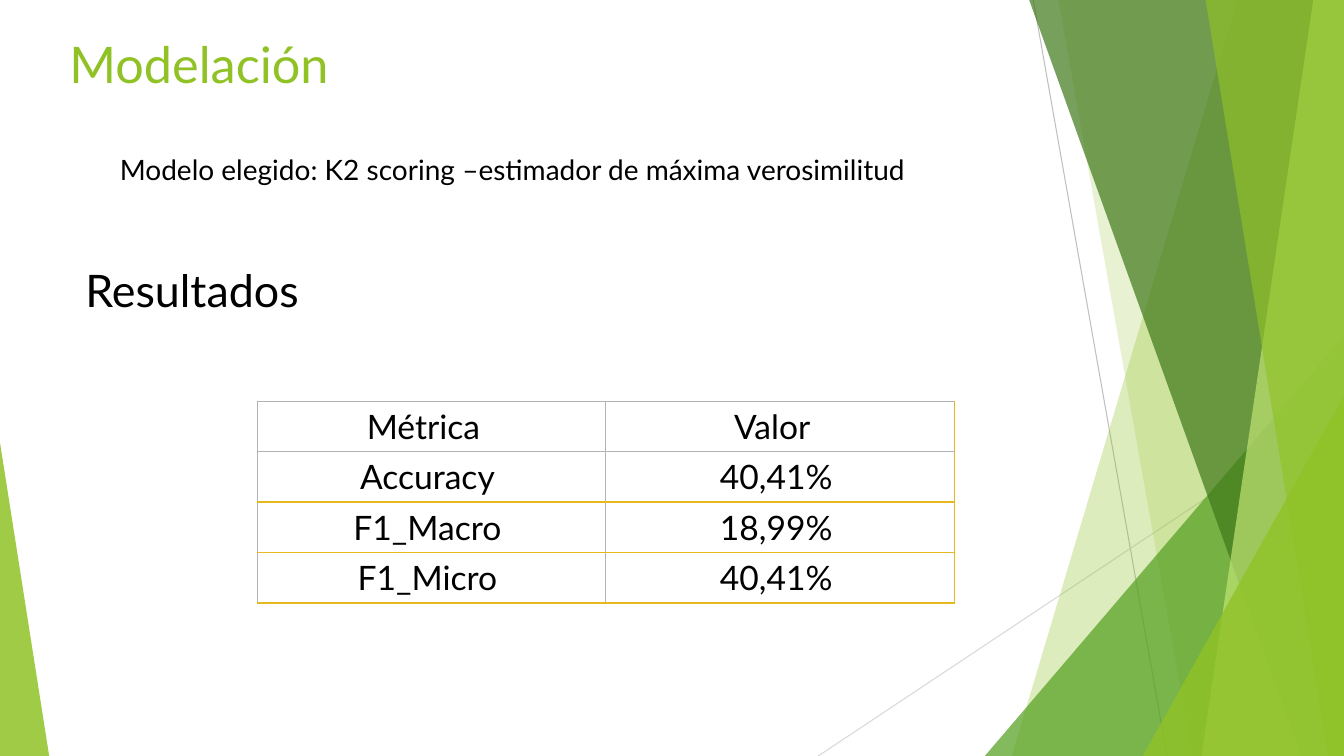
from dataclasses import dataclass
from lxml.etree import SubElement
from pptx import Presentation
from pptx.dml.color import RGBColor
from pptx.enum.shapes import MSO_CONNECTOR, MSO_SHAPE
from pptx.enum.text import MSO_ANCHOR, PP_ALIGN
from pptx.oxml.ns import qn
from pptx.util import Cm, Pt

WIDE, HIGH = 33.87, 19.05


@dataclass(frozen=True)
class Theme:
    font: str = "Lato"
    ink: str = "000000"
    lime: str = "90C226"
    green: str = "54A021"
    dark: str = "3F7819"
    pale: str = "C0E474"
    gold: str = "E6B91E"
    grey: str = "B3B3B3"
    ray: str = "BFBFBF"
    mist: str = "D9D9D9"
    title: int = 36
    head: int = 32
    cell: int = 24
    body: int = 20


class Deck:
    def __init__(self, theme, slide):
        self.theme = theme
        self.shapes = slide.shapes

    def paint(self, shape, color, alpha):
        """Fill a shape with a see-through colour, without outline."""
        shape.shadow.inherit = False
        shape.line.fill.background()
        shape.fill.solid()
        shape.fill.fore_color.rgb = RGBColor.from_string(color)
        fill = shape._element.spPr.find(qn("a:solidFill"))
        SubElement(fill[0], qn("a:alpha"), val=str(alpha * 1000))

    def line(self, start, end, color):
        ends = [Cm(n) for n in start + end]
        line = self.shapes.add_connector(MSO_CONNECTOR.STRAIGHT, *ends)
        line.line.color.rgb = RGBColor.from_string(color)
        line.line.width = Pt(0.75)
        SubElement(line._element.spPr, qn("a:effectLst"))

    def shard(self, top, base, color, alpha):
        """Panel from a slanted left edge to the right side of the slide."""
        edge = -0.02
        spots = [(WIDE, edge), (WIDE, HIGH), (base, HIGH)]
        form = self.shapes.build_freeform(Cm(top), Cm(edge))
        form.add_line_segments([(Cm(x), Cm(y)) for x, y in spots], close=True)
        self.paint(form.convert_to_shape(), color, alpha)

    def wedge(self, left, top, width, peak, color, alpha):
        """Triangle that stands on the bottom of the slide."""
        box = [Cm(n) for n in (left, top, width, HIGH - top)]
        shape = self.shapes.add_shape(MSO_SHAPE.ISOSCELES_TRIANGLE, *box)
        shape.adjustments[0] = peak
        self.paint(shape, color, alpha)

    def label(self, frame, text, size, color):
        para = frame.paragraphs[0]
        run = para.add_run()
        run.text = text
        style = {"name": self.theme.font, "size": Pt(size)}
        for key, value in style.items():
            setattr(run.font, key, value)
        run.font.color.rgb = RGBColor.from_string(color)
        return para

    def text(self, box, text, size, color):
        frame = self.shapes.add_textbox(*[Cm(n) for n in box]).text_frame
        style = {"word_wrap": True, "vertical_anchor": MSO_ANCHOR.TOP}
        for key, value in style.items():
            setattr(frame, key, value)
        self.label(frame, text, size, color)

    def border(self, cell, sides):
        props = cell._tc.get_or_add_tcPr()
        for side, color in sides.items():
            edge = SubElement(props, qn(f"a:ln{side}"), w=str(Pt(1)))
            fill = SubElement(edge, qn("a:solidFill"))
            SubElement(fill, qn("a:srgbClr"), val=color)

    def table(self, left, top, width, step, rows):
        theme = self.theme
        count, span = len(rows), len(rows[0])
        box = [Cm(n) for n in (left, top, width, step * count)]
        table = self.shapes.add_table(count, span, *box).table
        for key in ("first_row", "horz_banding"):
            setattr(table, key, False)
        for r, row in enumerate(rows):
            for c, text in enumerate(row):
                cell = table.cell(r, c)
                self.border(cell, {
                    "L": theme.grey,
                    "R": theme.gold if c == span - 1 else theme.grey,
                    "T": theme.gold if r > 1 else theme.grey,
                    "B": theme.gold if r > 0 else theme.grey,
                })
                cell.fill.background()
                cell.margin_right = Cm(0.46 if r else 0.66)
                para = self.label(cell.text_frame, text, theme.cell, theme.ink)
                para.alignment = PP_ALIGN.CENTER


def main():
    show = Presentation()
    show.slide_width, show.slide_height = Cm(WIDE), Cm(HIGH)
    theme = Theme()
    deck = Deck(theme, show.slides.add_slide(show.slide_layouts[6]))

    # Backdrop: thin rays, then layered panels
    deck.line((26.04, 0), (29.41, HIGH), theme.ray)
    deck.line((WIDE, 10.24), (20.62, HIGH), theme.mist)
    deck.shard(31.19, 25.5, theme.lime, 30)
    deck.shard(26.67, 30.05, theme.lime, 20)
    deck.wedge(24.82, 8.46, 9.05, 1, theme.green, 72)
    deck.shard(25.93, 32.79, theme.dark, 70)
    deck.shard(33.1, 30.28, theme.pale, 70)
    deck.shard(30.38, 33.48, theme.lime, 65)
    deck.wedge(28.8, 9.98, 5.07, 1, theme.lime, 80)
    deck.wedge(0, 11.15, 1.24, 0, theme.lime, 85)

    # Headings
    deck.text((1.5, 0.71, 23.88, 3.66), "Modelación", theme.title, theme.lime)
    deck.text((1.9, 6.5, 13.39, 1.63), "Resultados", theme.head, theme.ink)
    deck.text((2.77, 3.71, 21.29, 1.12),
              "Modelo elegido: K2 scoring –estimador de máxima verosimilitud",
              theme.body, theme.ink)

    # Scores
    deck.table(6.48, 10.11, 17.58, 1.27, [
        ("Métrica", "Valor"),
        ("Accuracy", "40,41%"),
        ("F1_Macro", "18,99%"),
        ("F1_Micro", "40,41%"),
    ])
    show.save("out.pptx")


if __name__ == "__main__":
    main()
